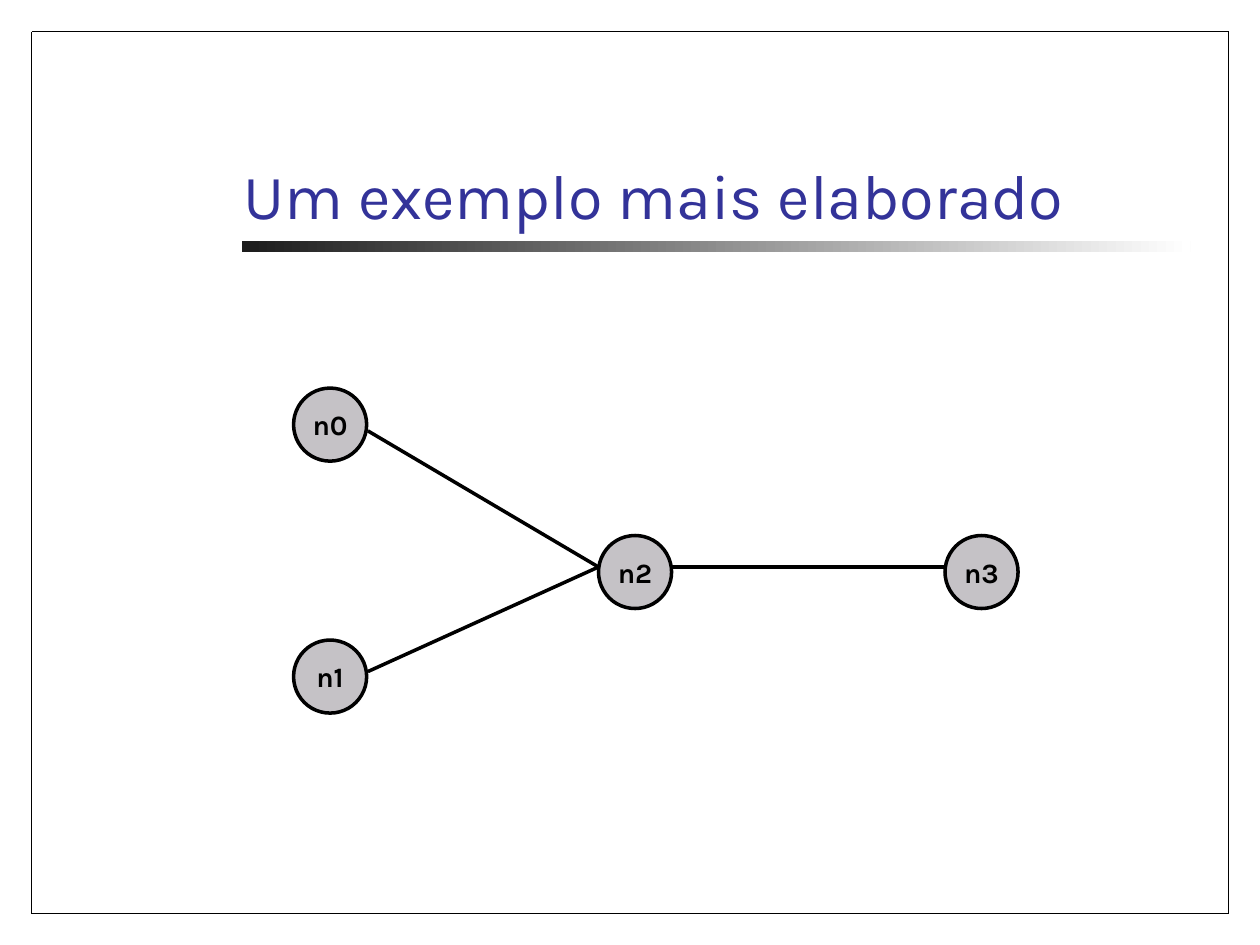
from pptx import Presentation
from pptx.dml.color import RGBColor
from pptx.enum.shapes import MSO_CONNECTOR, MSO_SHAPE
from pptx.enum.text import MSO_ANCHOR, MSO_AUTO_SIZE, PP_ALIGN
from pptx.oxml.ns import qn
from pptx.util import Inches, Pt

COLORS = {"title": "333399", "ink": "000000", "node": "C5C2C6",
          "bar_start": "1C1C1C", "bar_end": "FFFFFF"}
FONT = "Karla"
MARGINS = {"margin_left": Inches(0.1), "margin_right": Inches(0.1),
           "margin_top": Inches(0.05), "margin_bottom": Inches(0.05)}
NODE_SIZE = 0.58
# Node name: left and top within the diagram
NODES = {"n0": (0, 0), "n1": (0, 2), "n2": (2.42, 1.17), "n3": (5.17, 1.17)}
# Link start and end within the diagram
LINKS = [((0.59, 0.34), (2.42, 1.42)),
         ((0.59, 2.25), (2.42, 1.42)),
         ((3, 1.42), (5.17, 1.42))]


def color(name):
    return RGBColor.from_string(COLORS[name])


def apply_format(target, values):
    for name, value in values.items():
        setattr(target, name, value)


def format_text(frame, size, color_name, bold, alignment, **frame_values):
    apply_format(frame, {**MARGINS, "auto_size": MSO_AUTO_SIZE.NONE, **frame_values})
    paragraph = frame.paragraphs[0]
    paragraph.alignment = alignment
    apply_format(paragraph.font, {"name": FONT, "size": Pt(size), "bold": bold})
    paragraph.font.color.rgb = color(color_name)


def add_line(slide, start, end, width):
    line = slide.shapes.add_connector(
        MSO_CONNECTOR.STRAIGHT, *(Inches(value) for value in (*start, *end)))
    line.line.color.rgb = color("ink")
    line.line.width = Pt(width)
    line._element.spPr.append(line._element.makeelement(qn("a:effectLst"), {}))


def add_frame(slide, left, top, width, height):
    right, bottom = left + width, top + height
    corners = [(left, top), (right, top), (right, bottom), (left, bottom)]
    for start, end in zip(corners, corners[1:] + corners[:1]):
        add_line(slide, start, end, 0.75)


def add_title(slide, text, left, top, width, height):
    """Place the title with the fading bar below it."""
    bar = slide.shapes.add_shape(
        MSO_SHAPE.RECTANGLE, Inches(left + 0.09), Inches(top + height + 0.02),
        Inches(width - 0.05), Inches(0.09))
    bar.shadow.inherit = False
    bar.line.fill.background()
    bar.fill.gradient()
    bar.fill.gradient_angle = 0
    for stop, name in zip(bar.fill.gradient_stops, ("bar_start", "bar_end")):
        stop.color.rgb = color(name)

    title = slide.shapes.title
    apply_format(title, {"left": Inches(left), "top": Inches(top),
                         "width": Inches(width), "height": Inches(height)})
    title.text_frame.text = text
    format_text(title.text_frame, 36, "title", False, PP_ALIGN.LEFT,
                vertical_anchor=MSO_ANCHOR.BOTTOM, word_wrap=True)


def add_node(slide, name, left, top):
    node = slide.shapes.add_shape(
        MSO_SHAPE.OVAL, Inches(left), Inches(top), Inches(NODE_SIZE), Inches(NODE_SIZE))
    node.shadow.inherit = False
    node.fill.solid()
    node.fill.fore_color.rgb = color("node")
    node.line.color.rgb = color("ink")
    node.line.width = Pt(2)
    node.text_frame.text = name
    format_text(node.text_frame, 16, "ink", True, PP_ALIGN.CENTER,
                vertical_anchor=MSO_ANCHOR.MIDDLE, word_wrap=False)


def add_network(slide, left, top):
    for name, (x, y) in NODES.items():
        add_node(slide, name, left + x, top + y)
    for link in LINKS:
        start, end = ((left + x, top + y) for x, y in link)
        add_line(slide, start, end, 2)


def main():
    presentation = Presentation()
    presentation.slide_width, presentation.slide_height = Inches(10), Inches(7.5)
    slide = presentation.slides.add_slide(presentation.slide_layouts.get_by_name("Title Only"))
    add_frame(slide, 0.25, 0.25, 9.5, 7)
    add_title(slide, "Um exemplo mais elaborado", 1.83, 0.64, 7.58, 1.25)
    add_network(slide, 2.33, 3.08)
    presentation.save("out.pptx")


if __name__ == "__main__":
    main()
